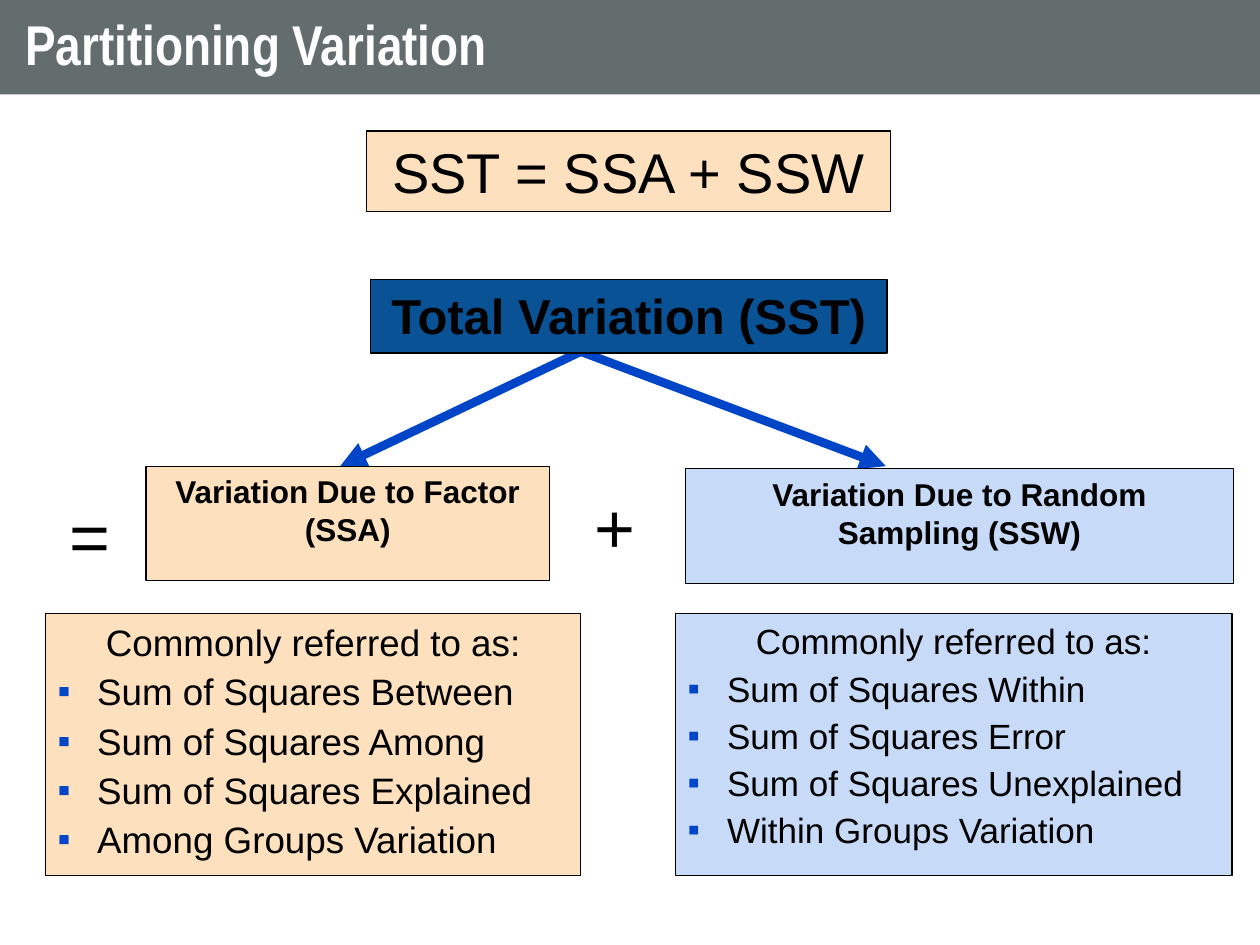
import pptx
import pptx.dml.color
import pptx.enum.shapes
import pptx.enum.text
import pptx.util
import lxml.etree

Pt = pptx.util.Pt
ALIGN = pptx.enum.text.PP_ALIGN
ANCHOR = pptx.enum.text.MSO_ANCHOR
A = "{http://schemas.openxmlformats.org/drawingml/2006/main}"
SLATE, PEACH, PALE_BLUE, NAVY, BLUE = "636D6E", "FDE0BD", "C7DAF7", "085295", "0045C7"


def color(hex_value):
    return pptx.dml.color.RGBColor.from_string(hex_value)


def add_box(bounds, text, size, fill=None, line=None, bold=False, ink="000000",
            font="Arial", align=ALIGN.CENTER):
    left, top, width, height = map(Pt, bounds)
    if fill:
        box = slide.shapes.add_shape(
            pptx.enum.shapes.MSO_SHAPE.RECTANGLE, left, top, width, height)
        box.shadow.inherit = False
        box.fill.solid()
        box.fill.fore_color.rgb = color(fill)
        if line:
            box.line.color.rgb = color("000000")
            box.line.width = Pt(line)
        else:
            box.line.fill.background()
    else:
        box = slide.shapes.add_textbox(left, top, width, height)
    frame = box.text_frame
    frame.word_wrap = True
    frame.vertical_anchor = ANCHOR.TOP
    for index, wording in enumerate(text.split("\n")):
        paragraph = frame.add_paragraph() if index else frame.paragraphs[0]
        paragraph.alignment = ALIGN.LEFT if index else align
        if index:
            paragraph.space_before = Pt(3)
            properties = paragraph._p.get_or_add_pPr()
            properties.set("marL", str(Pt(22.5)))
            properties.set("indent", str(Pt(-22.5)))
            bullet_color = lxml.etree.SubElement(properties, A + "buClr")
            lxml.etree.SubElement(bullet_color, A + "srgbClr", val=BLUE)
            lxml.etree.SubElement(properties, A + "buFont", typeface="Arial")
            lxml.etree.SubElement(properties, A + "buChar", char="▪")
        run = paragraph.add_run()
        run.text = wording
        run.font.name = font
        run.font.size = Pt(size)
        run.font.bold = bold
        run.font.color.rgb = color(ink)
    return frame


deck = pptx.Presentation()
deck.slide_width, deck.slide_height = Pt(720), Pt(540)
slide = deck.slides.add_slide(deck.slide_layouts[6])

title = add_box((0, 0, 720, 54), "Partitioning Variation", 32, SLATE, bold=True,
                ink="FFFFFF", font="Arial Narrow", align=ALIGN.LEFT)
title.vertical_anchor = ANCHOR.MIDDLE
title.margin_left = title.margin_right = Pt(14.4)
title.margin_top = title.margin_bottom = Pt(7.2)
title.paragraphs[0].line_spacing = 0.9

for arrow_end in (194.4, 506.2):
    branch = slide.shapes.add_connector(
        pptx.enum.shapes.MSO_CONNECTOR.STRAIGHT,
        Pt(331.9), Pt(200.9), Pt(arrow_end), Pt(266.4))
    branch.line.color.rgb = color(BLUE)
    branch.line.width = Pt(5)
    lxml.etree.SubElement(branch.line._get_or_add_ln(), A + "tailEnd", type="triangle")
    lxml.etree.SubElement(branch._element.spPr, A + "effectLst")

add_box((209.5, 74.9, 299.5, 46.1), "SST = SSA + SSW", 32, PEACH, 0.75)
add_box((211.7, 159.8, 295.2, 41.8), "Total Variation (SST)", 28, NAVY, 1, bold=True)

sources = [
    ((83.5, 266.4, 230.4, 65.5), "Variation Due to Factor (SSA)", PEACH),
    ((391.7, 267.8, 313.2, 65.5), "Variation Due to Random Sampling (SSW)", PALE_BLUE),
]
for bounds, wording, fill in sources:
    add_box(bounds, wording, 18, fill, 0.75, bold=True)

synonyms = [
    ((25.9, 350.6, 306, 149.8), 21, PEACH,
     ["Sum of Squares Between", "Sum of Squares Among",
      "Sum of Squares Explained", "Among Groups Variation"]),
    ((385.9, 350.6, 318.2, 149.8), 20, PALE_BLUE,
     ["Sum of Squares Within", "Sum of Squares Error",
      "Sum of Squares Unexplained", "Within Groups Variation"]),
]
for bounds, size, fill, names in synonyms:
    add_box(bounds, "\n".join(["Commonly referred to as:"] + names), size, fill, 0.75)

for left, top, operator in ((32.4, 277.9, "="), (332.6, 272.9, "+")):
    add_box((left, top, 65.5, 54.7), operator, 40, align=ALIGN.LEFT)

deck.save("out.pptx")
